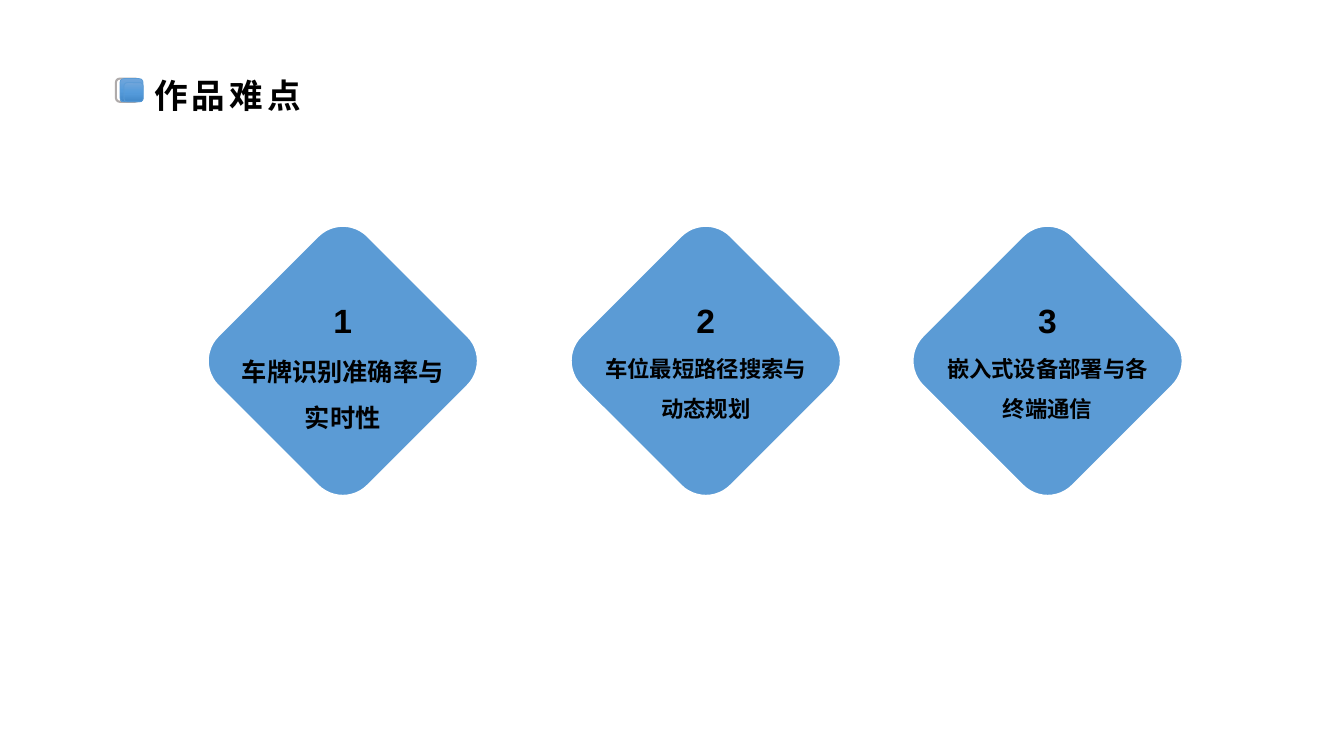
from copy import deepcopy
from dataclasses import dataclass

from lxml.etree import SubElement
from pptx import Presentation
from pptx.dml.color import RGBColor
from pptx.enum.shapes import MSO_SHAPE
from pptx.enum.text import MSO_AUTO_SIZE, PP_ALIGN
from pptx.oxml.ns import qn
from pptx.util import Inches, Pt


@dataclass(frozen=True)
class Theme:
    blue: str = "5B9BD5"
    grey: str = "AFABAB"
    white: str = "FFFFFF"
    black: str = "000000"
    gradient: tuple = ("71A6DB", "559BDB", "448ACA")
    latin: str = "Arial"
    cjk: str = "Noto Sans CJK SC"
    heading: int = 24
    body_large: int = 18
    body: int = 16


class SlideBuilder:
    def __init__(self, slide, theme):
        self.slide = slide
        self.theme = theme

    def rounded_square(self, x, y, side, line, width, fill=None, rotation=0):
        """Fill is None, one colour, or a tuple of three gradient colours."""
        sp = self.slide.shapes.add_shape(
            MSO_SHAPE.ROUNDED_RECTANGLE, *map(Inches, (x, y, side, side)))
        sp.shadow.inherit = False
        sp.rotation = rotation
        sp.line.color.rgb = RGBColor.from_string(line)
        sp.line.width = Pt(width)
        if fill is None:
            sp.fill.background()
        elif isinstance(fill, str):
            sp.fill.solid()
            sp.fill.fore_color.rgb = RGBColor.from_string(fill)
        else:
            self.gradient(sp.fill, fill)

    def gradient(self, fill, colors):
        fill.gradient()
        fill.gradient_angle = 270
        stops = sp_stops = fill.gradient_stops
        first = sp_stops[0]._gs
        first.addnext(deepcopy(first))
        stops = fill.gradient_stops
        for stop, color, position in zip(stops, colors, (0, 0.5, 1)):
            stop.color.rgb = RGBColor.from_string(color)
            stop.position = position

    def text(self, x, y, w, h, words, size, font,
             align=PP_ALIGN.CENTER, line_spacing=None, tracking=None):
        box = self.slide.shapes.add_textbox(*map(Inches, (x, y, w, h)))
        tf = box.text_frame
        tf.word_wrap = True
        tf.auto_size = MSO_AUTO_SIZE.SHAPE_TO_FIT_TEXT
        p = tf.paragraphs[0]
        p.text = words
        p.alignment = align
        p.line_spacing = line_spacing
        p.font.size = Pt(size)
        p.font.bold = True
        p.font.name = font
        p.font.color.rgb = RGBColor.from_string(self.theme.black)
        # East Asian font and letter spacing
        props = p.runs[0]._r.get_or_add_rPr()
        SubElement(props, qn("a:ea")).set("typeface", self.theme.cjk)
        if tracking:
            props.set("spc", str(tracking * 100))

    def title(self, words):
        t = self.theme
        self.rounded_square(1.15, 0.78, 0.23, t.grey, 1.5)
        for x, y, side in ((1.19, 0.78, 0.23), (1.23, 0.82, 0.19)):
            self.rounded_square(x, y, side, t.blue, 0.5, t.gradient)
        self.text(1.43, 0.69, 2.23, 0.5, words, t.heading, t.cjk,
                  PP_ALIGN.LEFT, tracking=3)

    def diamond(self, center, number, words, size):
        t = self.theme
        side, text_width, number_width = 2.1, 2.3, 1.38
        self.rounded_square(center - side / 2, 2.53, side, t.white, 1.5,
                            t.blue, rotation=45)
        self.text(center - number_width / 2, 2.93, number_width, 0.5,
                  str(number), t.heading, t.latin)
        self.text(center - text_width / 2, 3.34, text_width, 0.91,
                  words, size, t.cjk, line_spacing=1.5)


def main():
    prs = Presentation()
    prs.slide_width, prs.slide_height = Inches(13.33), Inches(7.5)
    theme = Theme()
    builder = SlideBuilder(prs.slides.add_slide(prs.slide_layouts[6]), theme)

    # Heading with its square marker
    builder.title("作品难点")

    # Three numbered difficulties
    difficulties = (
        (3.4, "车牌识别准确率与实时性", theme.body_large),
        (7.0, "车位最短路径搜索与动态规划", theme.body),
        (10.39, "嵌入式设备部署与各终端通信", theme.body),
    )
    for number, (center, words, size) in enumerate(difficulties, 1):
        builder.diamond(center, number, words, size)

    prs.save("out.pptx")


if __name__ == "__main__":
    main()
